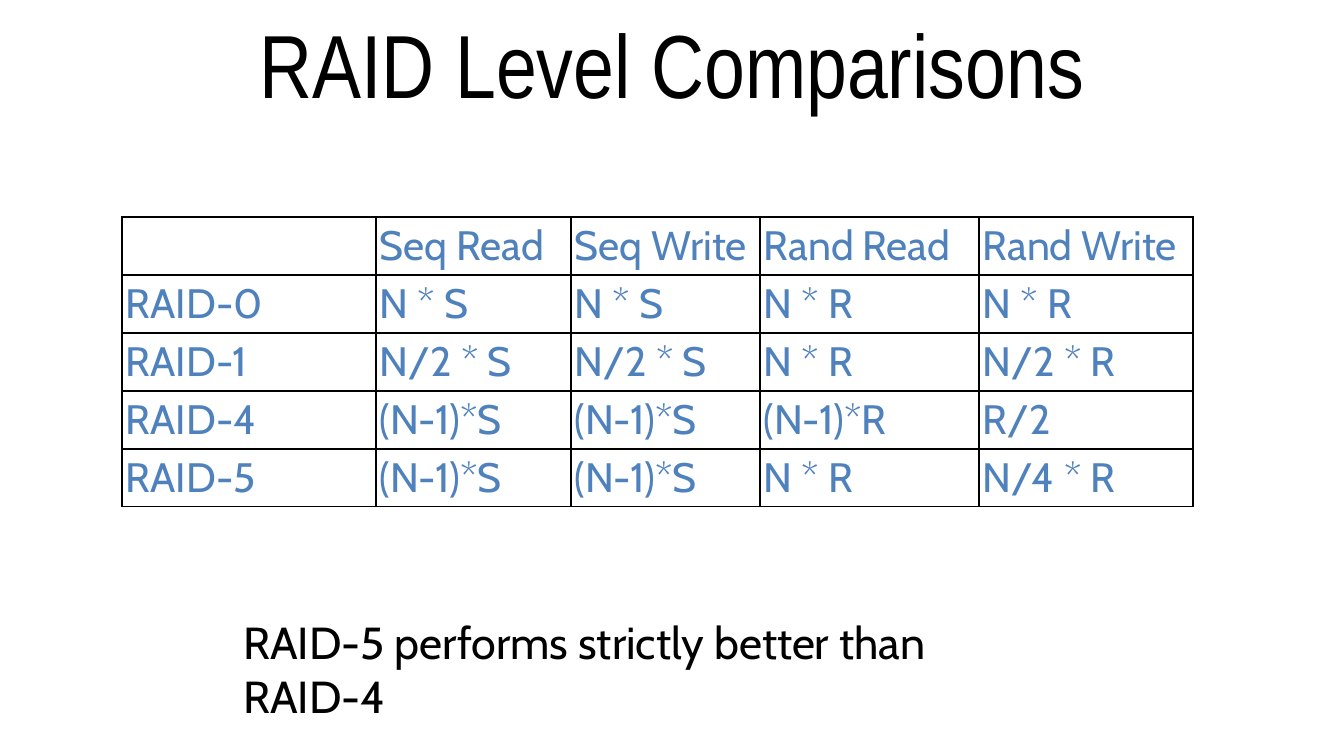
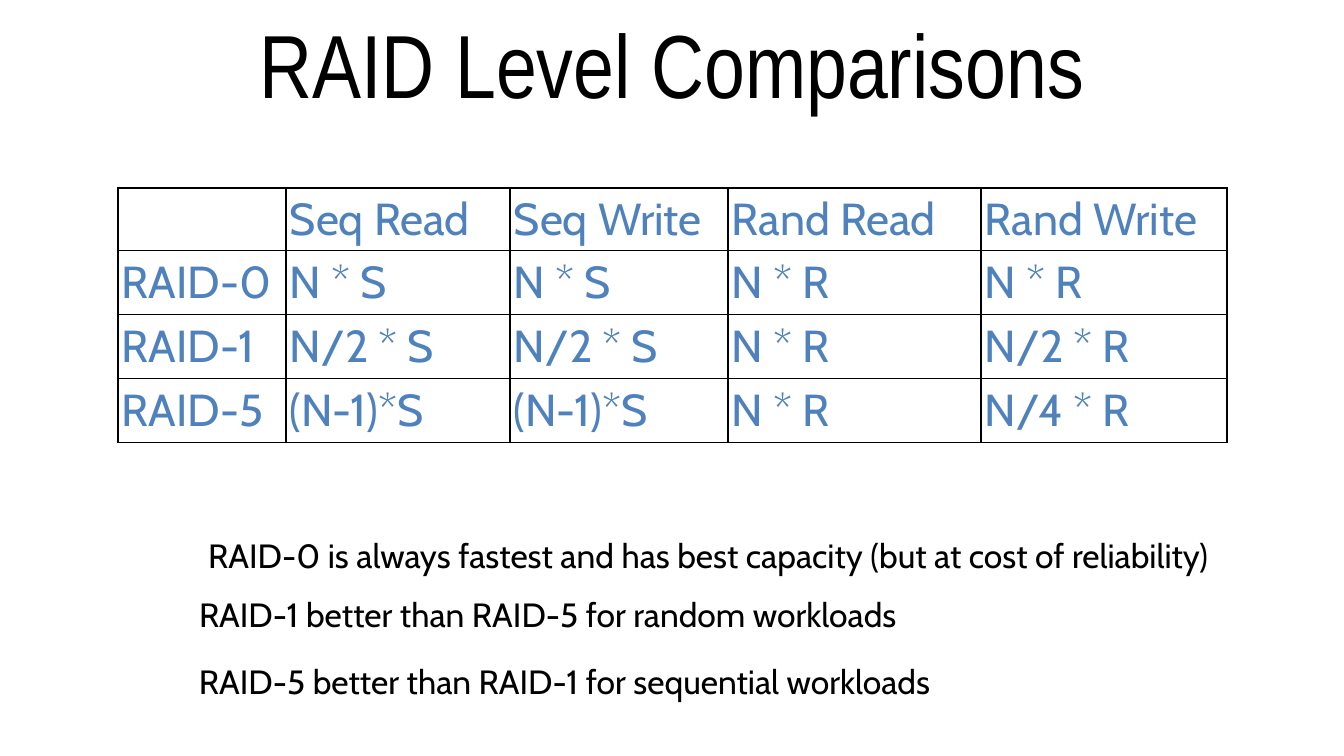
import pptx
import pptx.dml.color
import pptx.enum.text
import pptx.oxml
import pptx.oxml.ns
import pptx.util

PX = 914400 / 134.4
BLACK = "000000"
BLUE = "4F81BD"
MIDDLE = pptx.enum.text.MSO_ANCHOR.MIDDLE
TOP = pptx.enum.text.MSO_ANCHOR.TOP
CENTER = pptx.enum.text.PP_ALIGN.CENTER
SIDES = ("left", "top", "right", "bottom")
TITLE = "RAID Level Comparisons"
HEAD = ["", "Seq Read", "Seq Write", "Rand Read", "Rand Write"]
LEVELS = {
    "RAID-0": ["N * S", "N * S", "N * R", "N * R"],
    "RAID-1": ["N/2 * S", "N/2 * S", "N * R", "N/2 * R"],
    "RAID-4": ["(N-1)*S", "(N-1)*S", "(N-1)*R", "R/2"],
    "RAID-5": ["(N-1)*S", "(N-1)*S", "N * R", "N/4 * R"],
}


def px(count):
    return pptx.util.Emu(round(count * PX))


def paint(color):
    return pptx.dml.color.RGBColor.from_string(color)


def apply(target, values):
    for name, value in values.items():
        setattr(target, name, value)


def pad(count):
    return {f"margin_{side}": px(count) for side in SIDES}


def write(para, text, face, size, color):
    run = para.add_run()
    run.text = text
    apply(run.font, {"name": face, "size": pptx.util.Pt(size), "bold": False})
    run.font.color.rgb = paint(color)


def add_title(slide):
    title = slide.shapes.title
    apply(title, {"left": px(67), "top": px(0), "width": px(1210), "height": px(126)})
    title.text_frame.vertical_anchor = MIDDLE
    para = title.text_frame.paragraphs[0]
    para.alignment = CENTER
    write(para, TITLE, "Arial Narrow", 48, BLACK)


def add_note(slide, text, box, size, inset=None, anchor=MIDDLE):
    frame = slide.shapes.add_textbox(*map(px, box)).text_frame
    apply(frame, {
        "word_wrap": True,
        "auto_size": pptx.enum.text.MSO_AUTO_SIZE.SHAPE_TO_FIT_TEXT,
        "vertical_anchor": anchor,
    })
    if inset is not None:
        apply(frame, pad(inset))
    write(frame.paragraphs[0], text, "Cabin", size, BLACK)


def add_edges(cell):
    props = cell._tc.get_or_add_tcPr()
    space = pptx.oxml.ns.nsdecls("a")
    for side in "LRTB":
        props.append(pptx.oxml.parse_xml(
            f'<a:ln{side} {space} w="12700"><a:solidFill>'
            f'<a:srgbClr val="{BLACK}"/></a:solidFill></a:ln{side}>'))


def add_grid(slide, names, left, top, widths, heights, size):
    rows = [HEAD] + [[name] + LEVELS[name] for name in names]
    box = (left, top, sum(widths), sum(heights))
    table = slide.shapes.add_table(len(rows), len(HEAD), *map(px, box)).table
    apply(table, {"first_row": False, "horz_banding": False})
    for column, width in zip(table.columns, widths):
        column.width = px(width)
    for line, height, texts in zip(table.rows, heights, rows):
        line.height = px(height)
        for cell, text in zip(line.cells, texts):
            apply(cell, {"vertical_anchor": MIDDLE, **pad(4)})
            add_edges(cell)
            cell.fill.background()
            if text:
                write(cell.text_frame.paragraphs[0], text, "Cabin", size, BLUE)


def add_slide(deck):
    slide = deck.slides.add_slide(deck.slide_layouts[5])
    add_title(slide)
    return slide


def add_all(deck):
    slide = add_slide(deck)
    add_grid(slide, list(LEVELS), 122, 217, [254, 195, 189, 219, 214], [57] * 5, 22)
    add_note(slide, "RAID-5 performs strictly better than RAID-4",
             (239, 638, 836, 62), 24, 4)


def add_best(deck):
    slide = add_slide(deck)
    names = ["RAID-0", "RAID-1", "RAID-5"]
    add_grid(slide, names, 118, 188, [168, 224, 218, 253, 246], [62] + [64] * 3, 24)
    add_note(slide, "RAID-0 is always fastest and has best capacity "
             "(but at cost of reliability)", (195, 528, 1082, 54), 18, anchor=TOP)
    add_note(slide, "RAID-1 better than RAID-5 for random workloads",
             (195, 590, 824, 48), 18, 4)
    add_note(slide, "RAID-5 better than RAID-1 for sequential workloads",
             (195, 657, 859, 48), 18, 4)


def main():
    deck = pptx.Presentation()
    apply(deck, {"slide_width": px(1344), "slide_height": px(756)})
    add_all(deck)
    add_best(deck)
    deck.save("out.pptx")


if __name__ == "__main__":
    main()
